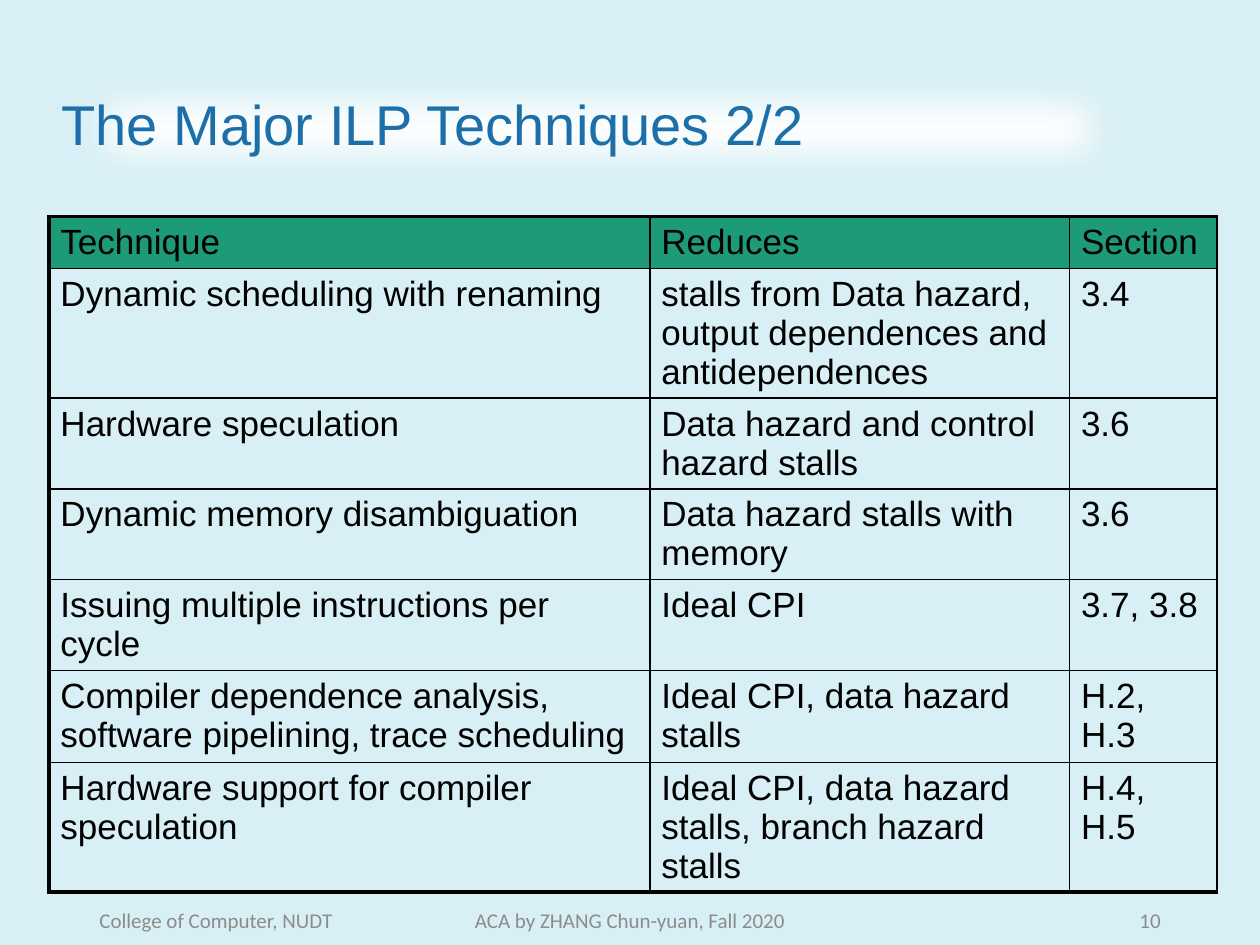
"""Build the slide on the major ILP techniques."""
from lxml.etree import SubElement
from pptx import Presentation
from pptx.dml.color import RGBColor
from pptx.enum.shapes import MSO_SHAPE
from pptx.enum.text import MSO_ANCHOR, PP_ALIGN
from pptx.oxml.ns import qn
from pptx.util import Inches, Pt

COLORS = {"back": "D7EFF5", "white": "FFFFFF", "title": "1D6FA9",
          "head": "1D9A78", "black": "000000", "gray": "8C8C8C"}
WIDTHS = [4.77, 3.33, 1.17]
HEIGHTS = [0.33, 0.84, 0.58, 0.58, 0.51, 0.73, 0.84]
ROWS = [
    ("Technique", "Reduces", "Section"),
    ("Dynamic scheduling with renaming",
     "stalls from Data hazard, output dependences and antidependences", "3.4"),
    ("Hardware speculation", "Data hazard and control hazard stalls", "3.6"),
    ("Dynamic memory disambiguation", "Data hazard stalls with memory", "3.6"),
    ("Issuing multiple instructions per cycle", "Ideal CPI", "3.7, 3.8"),
    ("Compiler dependence analysis, software pipelining, trace scheduling",
     "Ideal CPI, data hazard stalls", "H.2, H.3"),
    ("Hardware support for compiler speculation",
     "Ideal CPI, data hazard stalls, branch hazard stalls", "H.4, H.5"),
]
FOOTS = [
    ("College of Computer, NUDT", 0.69, 2.25, PP_ALIGN.LEFT),
    ("ACA by ZHANG Chun-yuan, Fall 2020", 3.31, 3.38, PP_ALIGN.CENTER),
    ("10", 7.06, 2.25, PP_ALIGN.RIGHT),
]


def color(name):
    return RGBColor.from_string(COLORS[name])


def write(frame, text, size=20, font="Arial", tint="black",
          align=PP_ALIGN.LEFT, space=None):
    frame.word_wrap = True
    para = frame.paragraphs[0]
    para.alignment = align
    para.line_spacing = space
    run = para.add_run()
    run.text = text
    run.font.size = Pt(size)
    run.font.name = font
    run.font.color.rgb = color(tint)


def add_title(slide, text):
    box = slide.shapes.add_shape(MSO_SHAPE.RECTANGLE, Inches(0.39), Inches(0.4),
                                 Inches(8.69), Inches(1.23))
    box.fill.solid()
    box.fill.fore_color.rgb = color("white")
    box.line.fill.background()
    box.shadow.inherit = False
    effects = box.element.spPr.find(qn("a:effectLst"))
    SubElement(effects, qn("a:softEdge"), rad=str(Pt(25)))
    box.text_frame.vertical_anchor = MSO_ANCHOR.MIDDLE
    write(box.text_frame, text, size=32, tint="title", space=0.9)


def add_edges(cell, edges):
    props = cell._tc.get_or_add_tcPr()
    for spot, (side, width) in enumerate(edges.items()):
        line = props.makeelement(qn(f"a:ln{side}"), {"w": str(Pt(width))})
        fill = SubElement(line, qn("a:solidFill"))
        SubElement(fill, qn("a:srgbClr"), val=COLORS["black"])
        props.insert(spot, line)


def add_grid(slide):
    frame = slide.shapes.add_table(len(ROWS), len(WIDTHS), Inches(0.39), Inches(1.72),
                                   Inches(sum(WIDTHS)), Inches(5.44))
    table = frame.table
    table.first_row = table.horz_banding = False
    for column, width in zip(table.columns, WIDTHS):
        column.width = Inches(width)
    for row, height in zip(table.rows, HEIGHTS):
        row.height = Inches(height)
    frame.height = Inches(5.44)
    last = len(ROWS) - 1
    for r, texts in enumerate(ROWS):
        for c, text in enumerate(texts):
            cell = table.cell(r, c)
            cell.margin_left = cell.margin_right = Inches(0.09)
            cell.margin_top = cell.margin_bottom = Inches(0.05)
            if r == 0:
                cell.fill.solid()
                cell.fill.fore_color.rgb = color("head")
            else:
                cell.fill.background()
            write(cell.text_frame, text)
            add_edges(cell, {"L": 2.25 if c == 0 else 1, "R": 1,
                             "T": 2.25 if r == 0 else 1,
                             "B": 2.25 if r == last else 1})


def add_foot(slide, text, left, width, align):
    box = slide.shapes.add_textbox(Inches(left), Inches(7.1), Inches(width), Inches(0.4))
    box.text_frame.vertical_anchor = MSO_ANCHOR.MIDDLE
    write(box.text_frame, text, size=12, font="Calibri", tint="gray", align=align)


def main():
    deck = Presentation()
    deck.slide_width, deck.slide_height = Inches(10), Inches(7.5)
    slide = deck.slides.add_slide(deck.slide_layouts[6])
    slide.background.fill.solid()
    slide.background.fill.fore_color.rgb = color("back")
    add_title(slide, "The Major ILP Techniques 2/2")
    add_grid(slide)
    for foot in FOOTS:
        add_foot(slide, *foot)
    deck.save("out.pptx")


if __name__ == "__main__":
    main()
